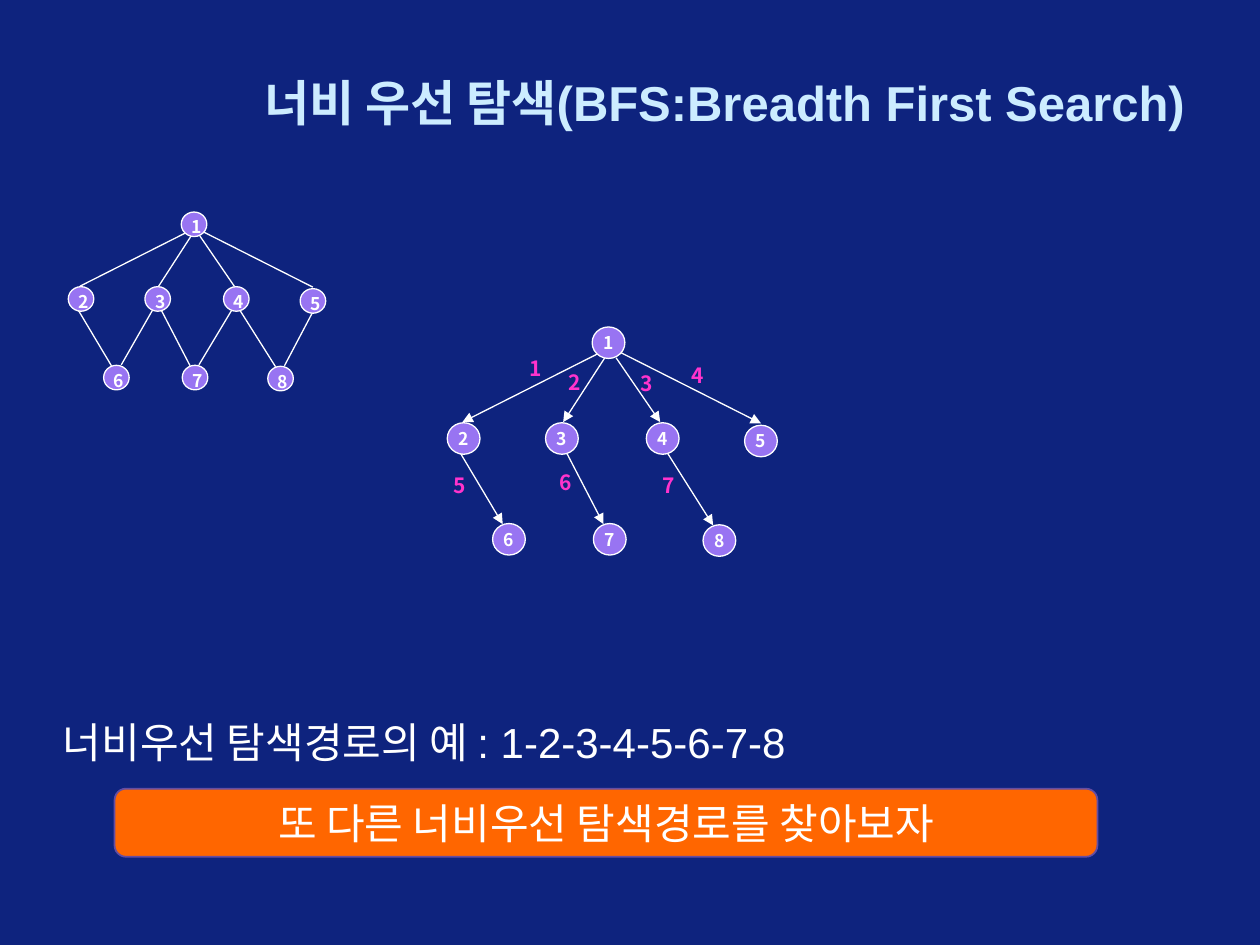
import pptx
import pptx.util
import pptx.dml.color
import pptx.enum.shapes
import pptx.enum.text
import pptx.oxml.ns
import lxml.etree

Inch = pptx.util.Inches
Pt = pptx.util.Pt
Shape = pptx.enum.shapes.MSO_SHAPE
Line = pptx.enum.shapes.MSO_CONNECTOR
Align = pptx.enum.text.PP_ALIGN
Anchor = pptx.enum.text.MSO_ANCHOR

INK = {"back": "0E237E", "title": "CCECFF", "white": "FFFFFF", "node": "9874F2",
       "order": "FF33CC", "bar": "FF6600", "edge": "654DA2"}
WIDE, HIGH = 10, 7.5
SANS, HAN = "Arial", "Noto Sans CJK KR"

TITLE = "너비 우선 탐색(BFS:Breadth First Search)"
ROUTE = "너비우선 탐색경로의 예 : 1-2-3-4-5-6-7-8"
TASK = "또 다른 너비우선 탐색경로를 찾아보자"

NODES = [(0, 0), (-1.15, 0.76), (-0.37, 0.76), (0.43, 0.76), (1.21, 0.78),
         (-0.79, 1.56), (0.01, 1.56), (0.88, 1.57)]
TREE = [(-0.09, 0.09, -1.16, 0.63), (-0.03, 0.12, -0.36, 0.63),
        (0.06, 0.12, 0.41, 0.63), (0.1, 0.08, 1.21, 0.64),
        (-1.18, 0.87, -0.84, 1.44), (-0.33, 0.88, -0.04, 1.44),
        (0.47, 0.88, 0.83, 1.45)]
EXTRA = [(-0.42, 0.87, -0.74, 1.43), (0.38, 0.88, 0.05, 1.43),
         (1.21, 0.89, 0.92, 1.44)]
ORDER = [(-0.58, 0.2), (-0.27, 0.31), (0.3, 0.32), (0.71, 0.26),
         (-1.18, 1.13), (-0.34, 1.11), (0.48, 1.13)]
GRAPHS = [
    {"root": (4.83, 2.72), "scale": 1, "edges": TREE, "arrow": True,
     "order": ORDER, "inset": 0},
    {"root": (1.54, 1.78), "scale": 0.78, "edges": TREE + EXTRA, "arrow": False,
     "order": [], "inset": 0.04},
]


def tint(name):
    return pptx.dml.color.RGBColor.from_string(INK[name])


def write(shape, text, size, ink, font=SANS, bold=False, align=Align.LEFT,
          wrap=True, anchor=Anchor.MIDDLE):
    frame = shape.text_frame
    frame.word_wrap = wrap
    frame.vertical_anchor = anchor
    para = frame.paragraphs[0]
    para.text = text
    para.alignment = align
    para.font.size = Pt(size)
    para.font.name = font
    para.font.bold = bold
    para.font.color.rgb = tint(ink)
    return para


def solid(host, kind, box, fill, edge, width):
    shape = host.add_shape(kind, *map(Inch, box))
    shape.shadow.inherit = False
    shape.fill.solid()
    shape.fill.fore_color.rgb = tint(fill)
    shape.line.color.rgb = tint(edge)
    shape.line.width = Pt(width)
    return shape


def around(x, y, w, h):
    return x - w / 2, y - h / 2, w, h


def label(host, text, box, size, ink, inset=0):
    area = host.add_textbox(*map(Inch, box))
    frame = area.text_frame
    frame.margin_right = frame.margin_bottom = 0
    frame.margin_left = frame.margin_top = Inch(inset)
    write(area, text, size, ink, HAN, True, Align.CENTER, False)


def link(host, ends, arrow):
    wire = host.add_connector(Line.STRAIGHT, *map(Inch, ends))
    wire.line.color.rgb = tint("white")
    wire.line.width = Pt(0.75)
    qn = pptx.oxml.ns.qn
    props = wire.element.spPr
    if arrow:
        lxml.etree.SubElement(props.find(qn("a:ln")), qn("a:tailEnd"), type="triangle")
    lxml.etree.SubElement(props, qn("a:effectLst"))


def draw(slide, graph):
    host = slide.shapes.add_group_shape().shapes
    left, top = graph["root"]
    scale = graph["scale"]

    def place(x, y):
        return left + x * scale, top + y * scale

    for ends in graph["edges"]:
        link(host, place(*ends[:2]) + place(*ends[2:]), graph["arrow"])
    for num, spot in enumerate(NODES, 1):
        x, y = place(*spot)
        solid(host, Shape.OVAL, around(x, y, 0.26 * scale, 0.25 * scale),
              "node", "white", 0.75)
        label(host, str(num), around(x, y, 0.28 * scale, 0.27 * scale),
              10, "white", graph["inset"])
    for num, spot in enumerate(graph["order"], 1):
        label(host, str(num), around(*place(*spot), 0.3, 0.3), 12, "order")


def main():
    deck = pptx.Presentation()
    deck.slide_width, deck.slide_height = Inch(WIDE), Inch(HIGH)
    slide = deck.slides.add_slide(deck.slide_layouts[6])
    slide.background.fill.solid()
    slide.background.fill.fore_color.rgb = tint("back")
    shapes = slide.shapes

    head = shapes.add_textbox(*map(Inch, (0.2 * WIDE, 0.5, 7.58, 0.62)))
    write(head, TITLE, 28, "title", bold=True)
    body = shapes.add_textbox(*map(Inch, (0.04 * WIDE, 5.68, 9.09, 0.41)))
    write(body, ROUTE, 24, "white", anchor=Anchor.TOP).line_spacing = 0.9
    for graph in GRAPHS:
        draw(slide, graph)
    bar = solid(shapes, Shape.ROUNDED_RECTANGLE, (0.91, 6.26, 0.78 * WIDE, 0.54),
                "bar", "edge", 1)
    write(bar, TASK, 24, "white", align=Align.CENTER)
    deck.save("out.pptx")


if __name__ == "__main__":
    main()
